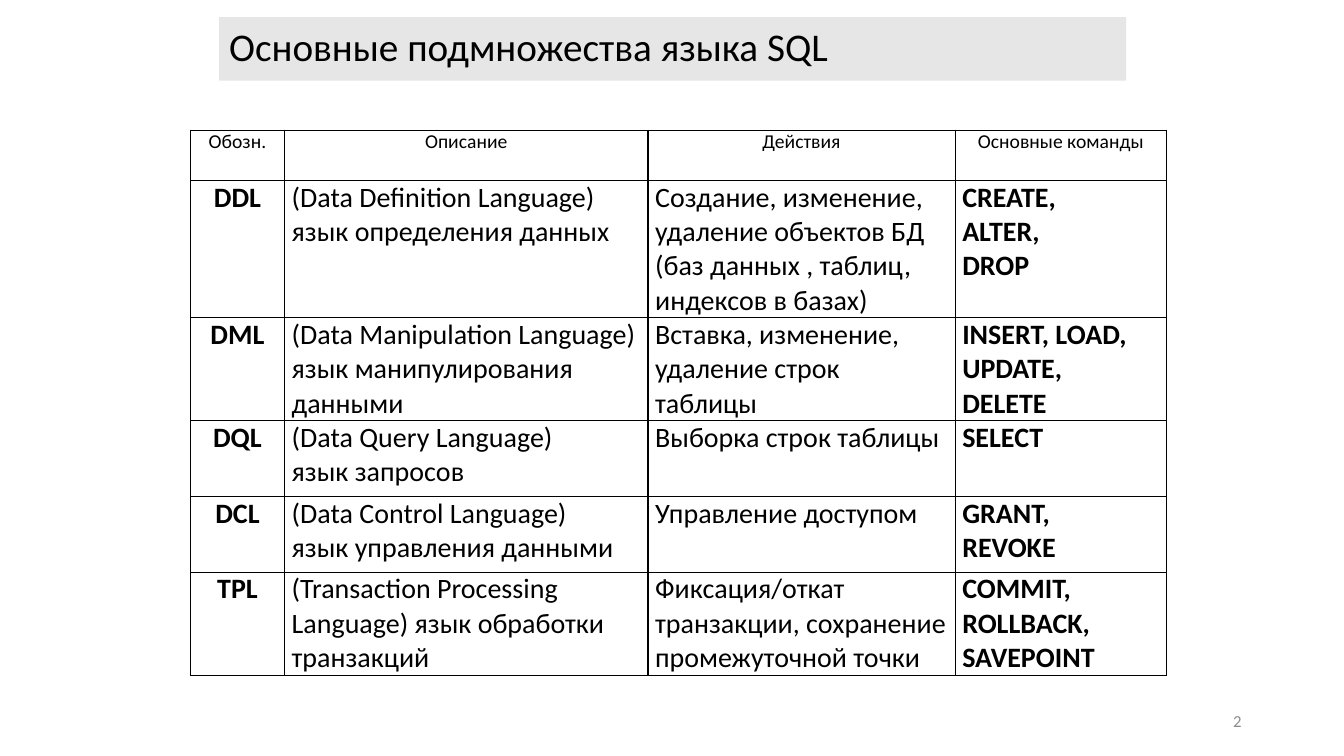
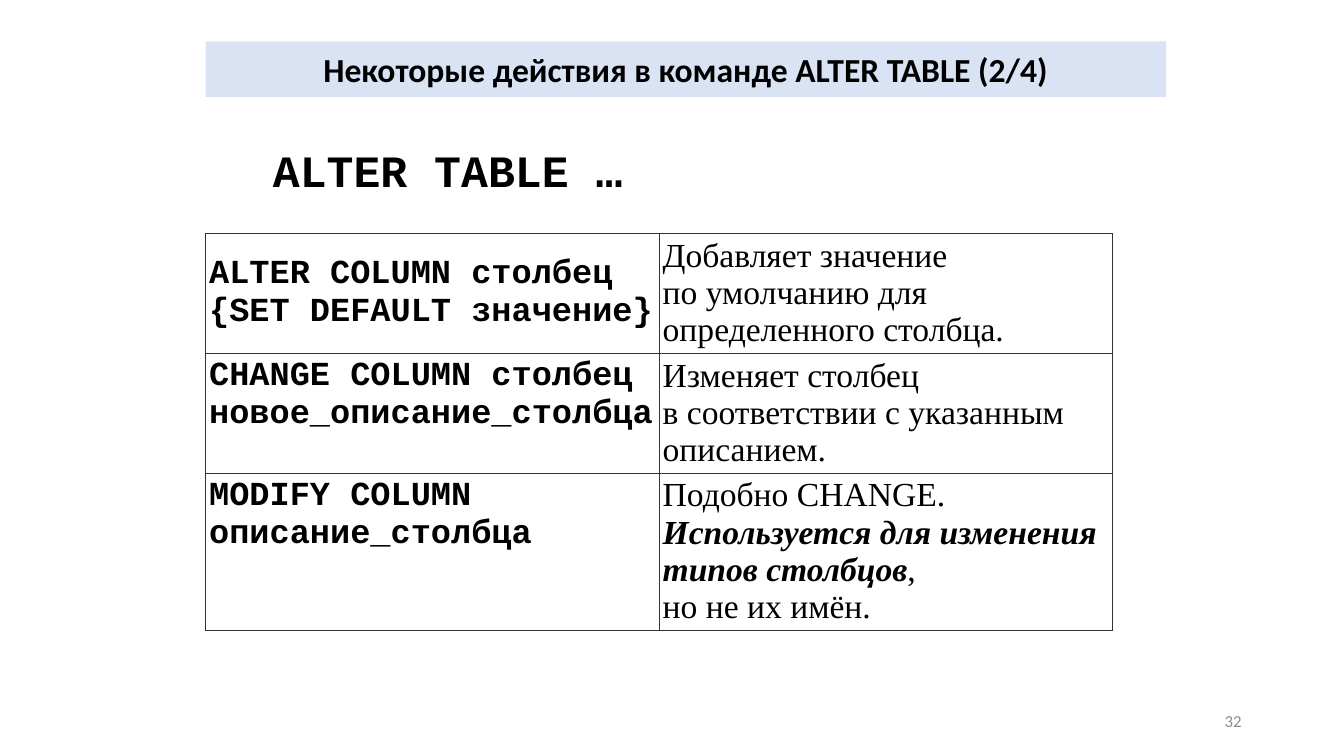
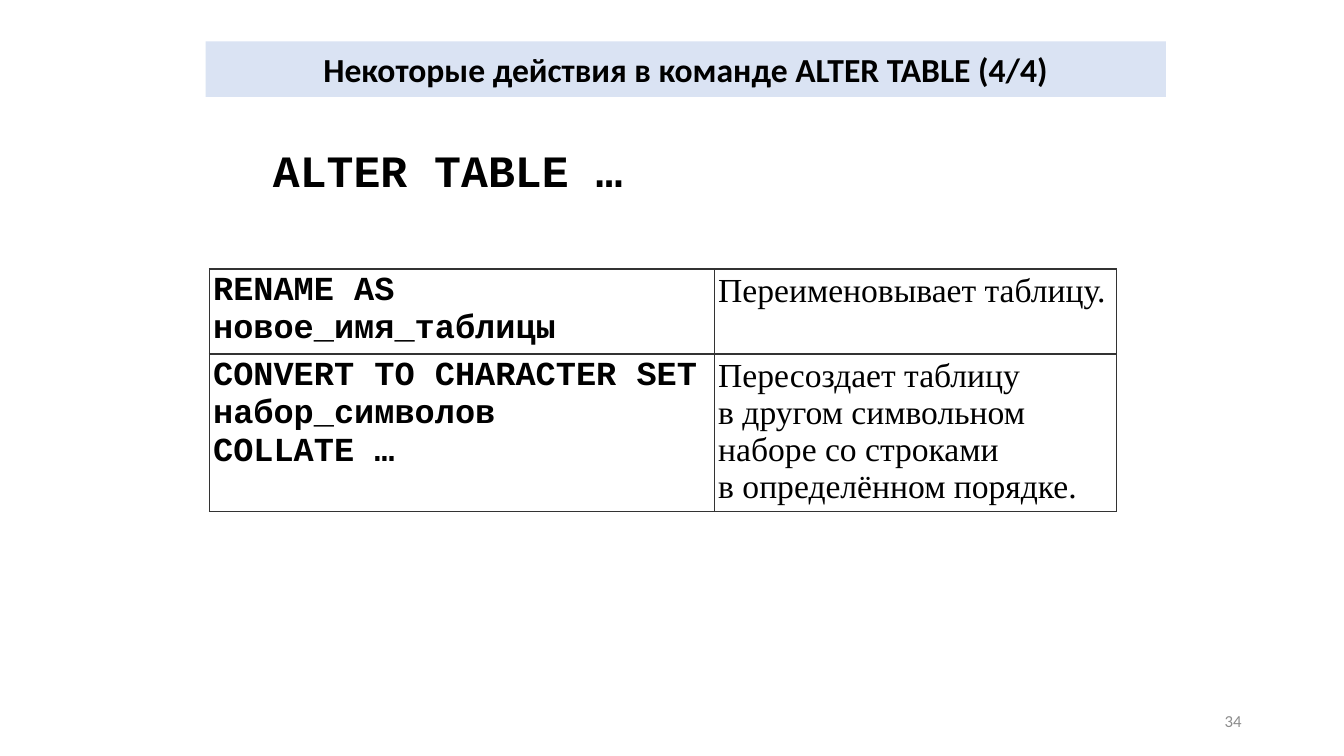
"""Builds three slides on SQL subsets and ALTER TABLE actions."""
from lxml import etree
from pptx import Presentation
from pptx.dml.color import RGBColor
from pptx.enum.text import MSO_ANCHOR, MSO_AUTO_SIZE, PP_ALIGN
from pptx.oxml.ns import qn
from pptx.util import Cm, Pt

LEFT, MID, RIGHT = PP_ALIGN.LEFT, PP_ALIGN.CENTER, PP_ALIGN.RIGHT
CENTRE, FIXED = MSO_ANCHOR.MIDDLE, MSO_AUTO_SIZE.NONE
BLACK, DARK, GREY = "000000", "333333", "8C8C8C"
SANS, MONO, SERIF = "Calibri", "Courier New", "Times New Roman"

CODE = {"font": MONO, "size": 24, "bold": True}
PROSE = {"font": SERIF, "size": 24}
HEAD = {"size": 14, "align": MID}
CELL = {"size": 20}
KEY = {"size": 20, "bold": True, "align": MID}
WORD = {"size": 20, "bold": True}

PLAIN = {"box": (5.52, 0.43, 22.86, 1.6), "fill": "E7E6E6",
         "style": {"size": 28, "align": LEFT, "space": 0.9}}
BAND = {"box": (5.18, 1.04, 24.2, 1.4), "fill": "DAE3F3",
        "style": {"size": 24, "bold": True, "align": MID}}
PAGE = (23.92, 17.65, 7.62, 1.02)
LEAD = (6.63, 3.48, 10.67, 1.62)

SLIDES = [
    {
        "title": "Основные подмножества языка SQL", "band": PLAIN, "page": 2,
        "table": {
            "at": (4.8, 3.28), "cols": (2.37, 9.16, 7.74, 5.33),
            "heights": (1.27, 3.45, 2.59, 1.91, 1.91, 2.59),
            "line": BLACK, "pad": (0.18, 0),
            "head": HEAD, "styles": (KEY, CELL, CELL, WORD),
            "rows": [
                ("Обозн.", "Описание", "Действия", "Основные команды"),
                ("DDL", "(Data Definition Language)\vязык определения данных",
                 "Создание, изменение,\vудаление объектов БД (баз данных , таблиц, индексов в базах)",
                 "CREATE,\nALTER,\nDROP"),
                ("DML", "(Data Manipulation Language)\vязык манипулирования данными",
                 "Вставка, изменение,\vудаление строк таблицы",
                 "INSERT, LOAD,\nUPDATE,\nDELETE"),
                ("DQL", "(Data Query Language)\vязык запросов",
                 "Выборка строк таблицы", "SELECT"),
                ("DCL", "(Data Control Language)\vязык управления данными",
                 "Управление доступом", "GRANT,\nREVOKE"),
                ("TPL", "(Transaction Processing Language) язык обработки транзакций",
                 "Фиксация/откат транзакции, сохранение промежуточной точки",
                 "COMMIT, ROLLBACK, SAVEPOINT"),
            ],
        },
    },
    {
        "title": "Некоторые действия в команде ALTER TABLE (2/4)", "band": BAND,
        "page": 32, "lead": "ALTER TABLE …",
        "table": {
            "at": (5.18, 5.89), "cols": (11.43, 11.43),
            "heights": (3.02, 3.02, 3.96),
            "line": DARK, "pad": (0.09, 0.09), "centred": [(0, 0)],
            "styles": (CODE, PROSE),
            "rows": [
                ("ALTER COLUMN столбец\n{SET DEFAULT значение}",
                 "Добавляет значение\vпо умолчанию для определенного столбца."),
                ("CHANGE COLUMN столбец новое_описание_столбца",
                 "Изменяет столбец\vв соответствии с указанным описанием."),
                ("MODIFY COLUMN\nописание_столбца",
                 "Подобно CHANGE. *Используется для изменения типов столбцов*,\vно не их имён."),
            ],
        },
    },
    {
        "title": "Некоторые действия в команде ALTER TABLE (4/4)", "band": BAND,
        "page": 34, "lead": "ALTER TABLE …",
        "table": {
            "at": (5.28, 6.78), "cols": (12.73, 10.13),
            "heights": (2.14, 3.96),
            "line": DARK, "pad": (0.09, 0.09),
            "styles": (CODE, PROSE),
            "rows": [
                ("RENAME AS новое_имя_таблицы", "Переименовывает таблицу."),
                ("CONVERT TO CHARACTER SET набор_символов\nCOLLATE …",
                 "Пересоздает таблицу\vв другом символьном наборе со строками\vв определённом порядке."),
            ],
        },
    },
]


def rgb(code):
    return RGBColor.from_string(code)


def put(frame, text, font=SANS, size=20, bold=False, color=BLACK,
        align=LEFT, space=None):
    frame.word_wrap = True
    for num, line in enumerate(text.split("\n")):
        para = frame.add_paragraph() if num else frame.paragraphs[0]
        para.alignment = align
        para.line_spacing = space
        for turn, part in enumerate(line.split("*")):
            strong = turn % 2 == 1
            for step, piece in enumerate(part.split("\v")):
                if step:
                    para.add_line_break()
                run = para.add_run()
                run.text = piece
                face = run.font
                face.name, face.size = font, Pt(size)
                face.bold, face.italic = bold or strong, strong
                face.color.rgb = rgb(color)


def place(shape, box):
    shape.left, shape.top, shape.width, shape.height = map(Cm, box)


def add_title(slide, text, band):
    shape = slide.shapes.title
    place(shape, band["box"])
    shape.fill.solid()
    shape.fill.fore_color.rgb = rgb(band["fill"])
    frame = shape.text_frame
    frame.auto_size, frame.vertical_anchor = FIXED, CENTRE
    put(frame, text, **band["style"])


def add_text(slide, text, box, anchor=None, **style):
    frame = slide.shapes.add_textbox(*map(Cm, box)).text_frame
    frame.vertical_anchor = anchor
    put(frame, text, **style)


def edge(cell, color):
    props = cell._tc.get_or_add_tcPr()
    for side in "LRTB":
        line = etree.SubElement(props, qn("a:ln" + side), w=str(Pt(1)))
        fill = etree.SubElement(line, qn("a:solidFill"))
        etree.SubElement(fill, qn("a:srgbClr"), val=color)


def add_grid(slide, data):
    rows, cols, tall = data["rows"], data["cols"], data["heights"]
    box = (*data["at"], sum(cols), sum(tall))
    grid = slide.shapes.add_table(len(rows), len(cols), *map(Cm, box)).table
    grid.first_row = grid.horz_banding = False
    for col, width in zip(grid.columns, cols):
        col.width = Cm(width)
    for row, height in zip(grid.rows, tall):
        row.height = Cm(height)
    side, rim = map(Cm, data["pad"])
    for r, row in enumerate(rows):
        for c, text in enumerate(row):
            cell = grid.cell(r, c)
            cell.margin_left = cell.margin_right = side
            cell.margin_top = cell.margin_bottom = rim
            edge(cell, data["line"])
            cell.fill.background()
            if (r, c) in data.get("centred", []):
                cell.vertical_anchor = CENTRE
            style = data["styles"][c]
            if r == 0:
                style = data.get("head", style)
            put(cell.text_frame, text, **style)


def main():
    deck = Presentation()
    deck.slide_width, deck.slide_height = Cm(33.87), Cm(19.05)
    for item in SLIDES:
        slide = deck.slides.add_slide(deck.slide_layouts[5])
        add_title(slide, item["title"], item["band"])
        add_grid(slide, item["table"])
        if "lead" in item:
            add_text(slide, item["lead"], LEAD, font=MONO, size=32, bold=True)
        add_text(slide, str(item["page"]), PAGE, anchor=CENTRE,
                 size=12, color=GREY, align=RIGHT)
    deck.save("out.pptx")


if __name__ == "__main__":
    main()
